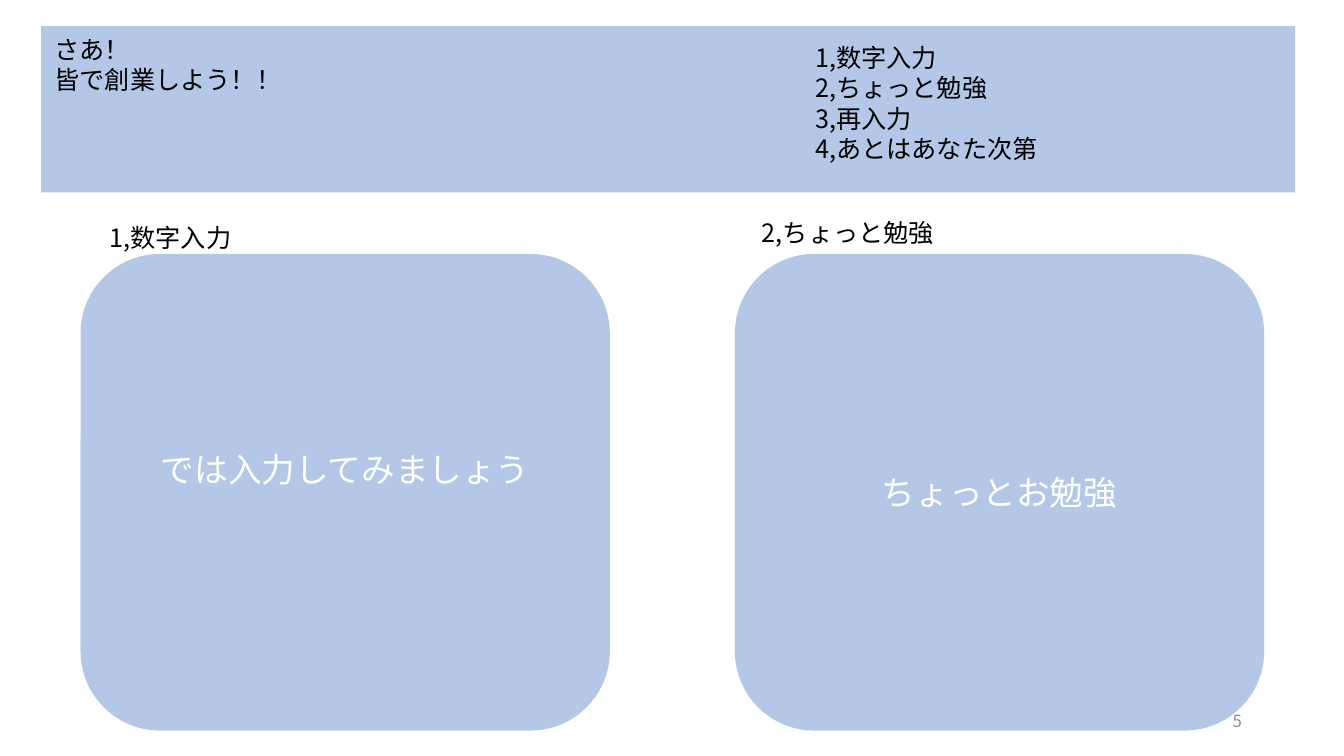
from lxml import etree
from pptx import Presentation
from pptx import util as u
from pptx.dml.color import RGBColor
from pptx.enum import shapes, text
from pptx.oxml.ns import qn

# Content
FONT = "Noto Sans CJK JP"
PALE_BLUE, BLACK, WHITE, GREY = "B4C7E7", "000000", "FFFFFF", "8C8C8C"
HEADLINE = "さあ！\v皆で創業しよう！！"
STEPS = ["1,数字入力", "2,ちょっと勉強", "3,再入力", "4,あとはあなた次第"]
# Panel left, message, bottom inset, heading left and top (cm)
PANELS = [
    (2.03, "では入力してみましょう", 1.27, 2.51, 5.49),
    (18.52, "ちょっとお勉強", 0.13, 18.95, 5.36),
]
PANEL_TOP, PANEL_WIDTH, PANEL_HEIGHT = 6.4, 13.34, 12.01
PAGE_NUMBER = "5"

presentation = Presentation()
presentation.slide_width, presentation.slide_height = u.Cm(33.87), u.Cm(19.05)
slide = presentation.slides.add_slide(presentation.slide_layouts[1])


def color(value):
    return RGBColor.from_string(value)


def place(shape, left, top, width, height):
    shape.left, shape.top = u.Cm(left), u.Cm(top)
    shape.width, shape.height = u.Cm(width), u.Cm(height)


def write(shape, lines, size=18, ink=BLACK, align=text.PP_ALIGN.LEFT,
          anchor=text.MSO_ANCHOR.TOP):
    frame = shape.text_frame
    frame.word_wrap = True
    frame.auto_size = text.MSO_AUTO_SIZE.NONE
    frame.vertical_anchor = anchor
    frame.text = "\n".join(lines)
    for paragraph in frame.paragraphs:
        properties = paragraph._p.get_or_add_pPr()
        properties.set("marL", "0")
        properties.set("indent", "0")
        paragraph.alignment = align
        paragraph.space_before = u.Pt(0)
        etree.SubElement(properties, qn("a:buNone"))
        font = paragraph.font
        font.size, font.name = u.Pt(size), FONT
        font.color.rgb = color(ink)
        east_asian = etree.SubElement(properties.find(qn("a:defRPr")), qn("a:ea"))
        east_asian.set("typeface", FONT)


def add_block(kind, left, top, width, height):
    shape = slide.shapes.add_shape(kind, 0, 0, 0, 0)
    place(shape, left, top, width, height)
    shape.shadow.inherit = False
    shape.fill.solid()
    shape.fill.fore_color.rgb = color(PALE_BLUE)
    shape.line.fill.background()
    return shape


def add_label(label, left, top, width, height, **style):
    box = slide.shapes.add_textbox(0, 0, 0, 0)
    place(box, left, top, width, height)
    write(box, [label], **style)


# Top band, behind the title and the list of steps
band = add_block(shapes.MSO_SHAPE.RECTANGLE, 1.04, 0.66, 31.6, 4.19)
title, steps = slide.placeholders
title._element.addprevious(band._element)
place(title, 1.12, 0.74, 7.49, 1.8)
write(title, [HEADLINE])
place(steps, 20.29, 0.94, 6.38, 3.33)
write(steps, STEPS)

# Two panels with their headings
for heading, (left, message, inset, heading_left, heading_top) in zip(STEPS, PANELS):
    panel = add_block(shapes.MSO_SHAPE.ROUNDED_RECTANGLE,
                      left, PANEL_TOP, PANEL_WIDTH, PANEL_HEIGHT)
    write(panel, [message], 24, WHITE, text.PP_ALIGN.CENTER, text.MSO_ANCHOR.MIDDLE)
    panel.text_frame.margin_bottom = u.Cm(inset)
    add_label(heading, heading_left, heading_top, PANEL_WIDTH, 1.02)

# Page number
add_label(PAGE_NUMBER, 23.93, 17.65, 7.62, 1.02, size=12, ink=GREY,
          align=text.PP_ALIGN.RIGHT, anchor=text.MSO_ANCHOR.MIDDLE)

presentation.save("out.pptx")
